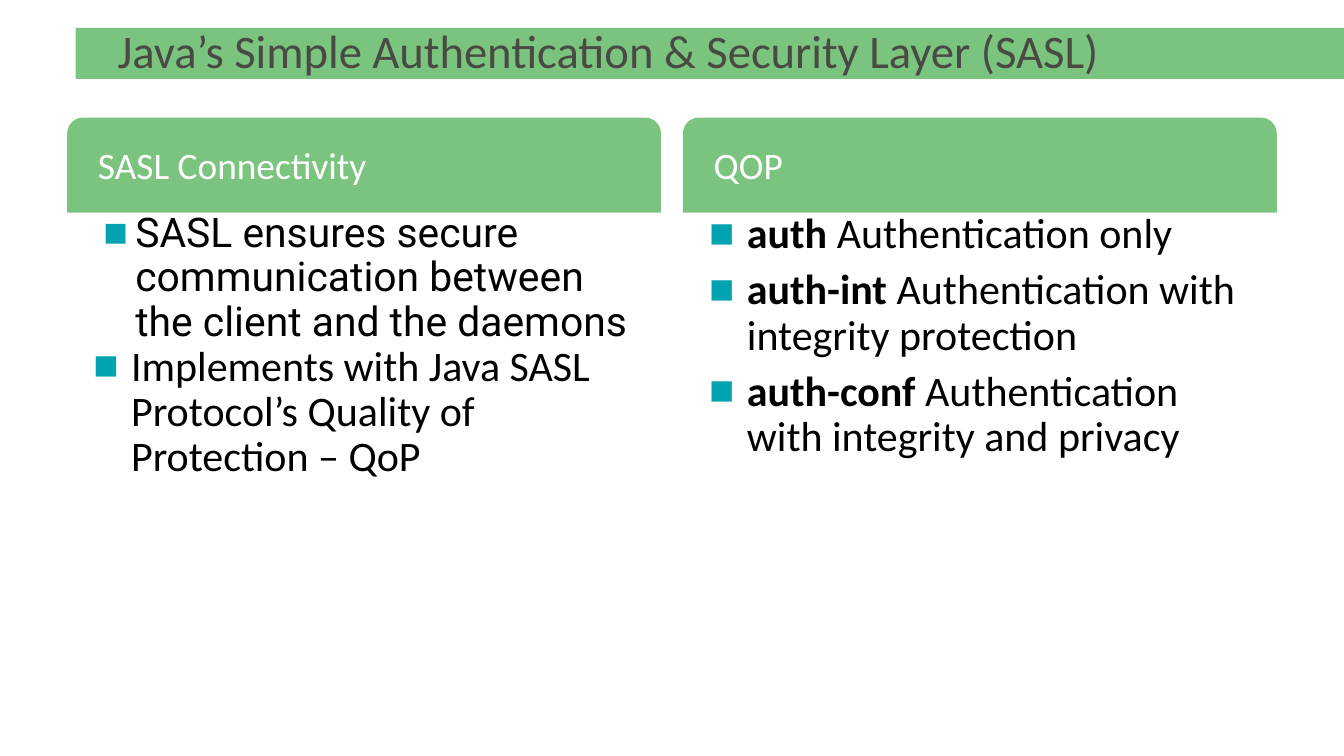
from pptx import Presentation
from pptx.dml.color import RGBColor
from pptx.enum.text import MSO_ANCHOR as Anchor, MSO_AUTO_SIZE as Fit, PP_ALIGN as Align
from pptx.oxml import parse_xml
from pptx.oxml.ns import nsdecls
from pptx.util import Pt

GREEN = RGBColor(0x7A, 0xC4, 0x7F)
GRAY = RGBColor(0x49, 0x4B, 0x43)
TEAL = RGBColor(0x00, 0xA3, 0xAF)
WHITE = RGBColor(0xFF, 0xFF, 0xFF)
BLACK = RGBColor(0, 0, 0)

LEFT, TOP, WIDE, HEAD, STEP = 57.6, 100.8, 509, 81.4, 527.8


def put(para, *runs, size=36, font="Calibri", color=BLACK, left=32.4, hang=-32.4, above=0, mark=None):
    para.alignment = Align.LEFT
    para.line_spacing = 0.9
    para.space_before = Pt(above)
    props = para._p.get_or_add_pPr()
    props.set("marL", str(Pt(left)))
    props.set("indent", str(Pt(hang)))
    if mark:
        props.append(parse_xml(f'<a:buClr {nsdecls("a")}><a:srgbClr val="{TEAL}"/></a:buClr>'))
        props.append(parse_xml(f'<a:buChar {nsdecls("a")} char="{mark}"/>'))
    for text, bold in runs:
        run = para.add_run()
        run.text = text
        run.font.size = Pt(size)
        run.font.name = font
        run.font.bold = bold
        run.font.color.rgb = color


def place(shape, box, inset=0, anchor=Anchor.MIDDLE):
    shape.left, shape.top, shape.width, shape.height = map(Pt, box)
    frame = shape.text_frame
    frame.word_wrap = True
    frame.auto_size = Fit.NONE
    frame.vertical_anchor = anchor
    frame.margin_left = frame.margin_right = Pt(inset)
    frame.margin_top = frame.margin_bottom = 0
    return frame


def fill(shape):
    shape.fill.solid()
    shape.fill.fore_color.rgb = GREEN


def title(shape, box, text):
    frame = place(shape, box)
    fill(shape)
    put(frame.paragraphs[0], (text, False), size=40, color=GRAY, left=36, hang=0)


def panel(head, body, box, text, items):
    x, y, w, h = box
    frame = place(head, (x, y, w, HEAD), 22.4)
    head._element.spPr.append(parse_xml(
        f'<a:prstGeom {nsdecls("a")} prst="round2SameRect"><a:avLst>'
        '<a:gd name="adj1" fmla="val 16700"/><a:gd name="adj2" fmla="val 0"/>'
        '</a:avLst></a:prstGeom>'))
    fill(head)
    put(frame.paragraphs[0], (text, False), size=32, color=WHITE, left=16, hang=-16)
    frame = place(body, (x, y + HEAD, w, h - HEAD), 22.4, Anchor.TOP)
    for i, (runs, form) in enumerate(items):
        para = frame.add_paragraph() if i else frame.paragraphs[0]
        put(para, *runs, mark="■", **form)


def main():
    deck = Presentation()
    deck.slide_width, deck.slide_height = Pt(1152), Pt(648)
    slide = deck.slides.add_slide(deck.slide_layouts[4])
    held = {p.placeholder_format.idx: p for p in slide.placeholders}
    title(held[0], (64.8, 23.8, 1087.2, 43.9),
          "Java’s Simple Authentication & Security Layer (SASL)")
    panel(held[1], held[2], (LEFT, TOP, WIDE, 314), "SASL Connectivity", [
        ([("SASL ensures secure communication between the client and the daemons", False)],
         dict(size=35, font="Roboto", left=36, hang=-27.4, above=12)),
        ([("Implements with Java SASL Protocol’s Quality of Protection – QoP", False)], {}),
    ])
    modes = [("auth", "Authentication only"),
             ("auth-int", "Authentication with integrity protection"),
             ("auth-conf", "Authentication with integrity and privacy")]
    panel(held[3], held[4], (LEFT + STEP, TOP, WIDE, 296.7), "QOP", [
        ([(name, True), (" " + text, False)], dict(above=9.2 if i else 0))
        for i, (name, text) in enumerate(modes)])
    deck.save("out.pptx")


if __name__ == "__main__":
    main()
